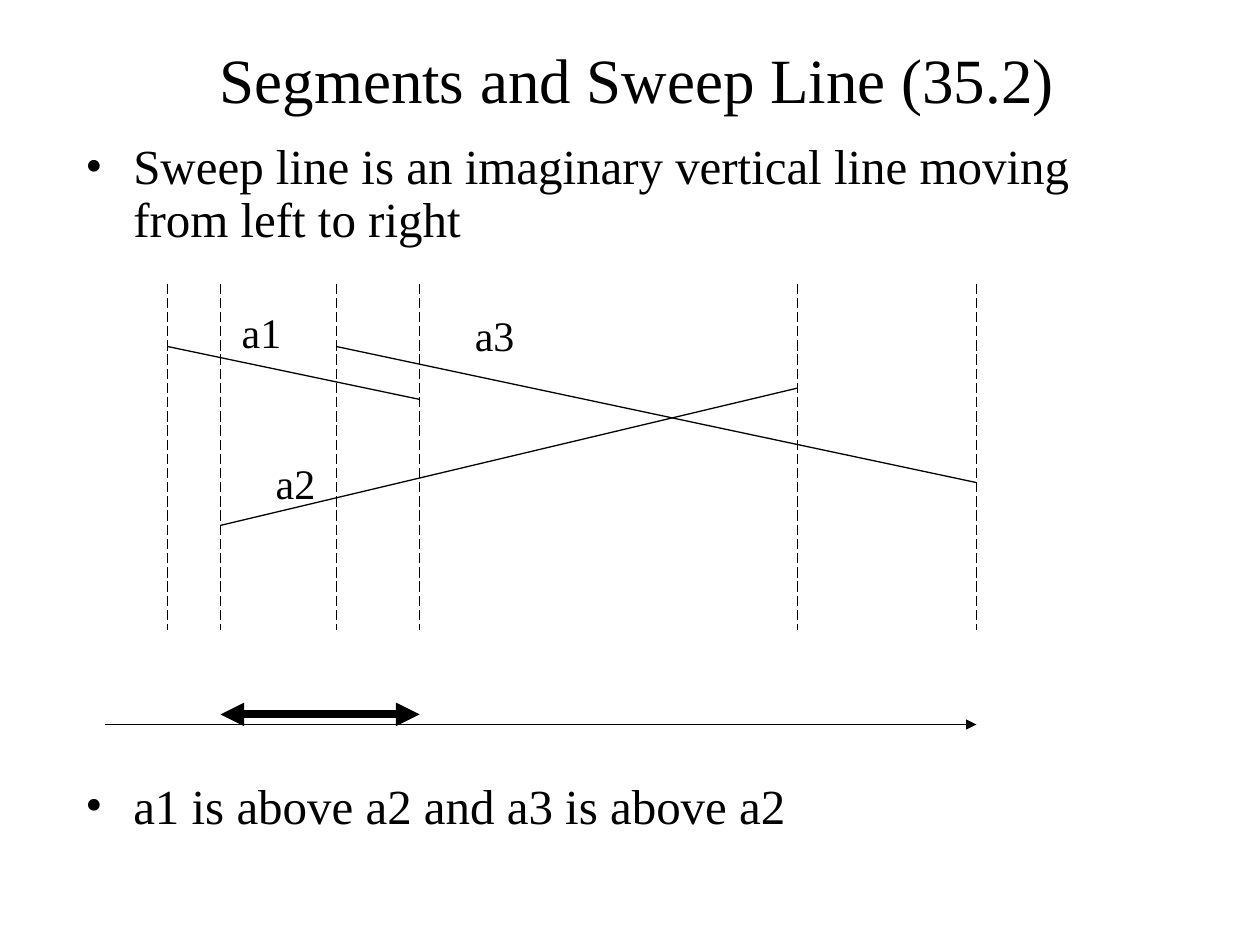
from pptx import Presentation
from pptx.dml.color import RGBColor
from pptx.enum.dml import MSO_LINE
from pptx.enum.shapes import MSO_CONNECTOR
from pptx.enum.text import MSO_ANCHOR, PP_ALIGN
from pptx.oxml.ns import qn
from pptx.util import Inches, Pt
from lxml import etree

BLACK = "000000"
FONT = "Times New Roman"

presentation = Presentation()
presentation.slide_width = Inches(10)
presentation.slide_height = Inches(7.5)
slide = presentation.slides.add_slide(presentation.slide_layouts[6])


def add_text(paragraphs, left, top, width, height, size, align=PP_ALIGN.LEFT,
             anchor=MSO_ANCHOR.TOP, wrap=True, bullets=False, gap=0, inset=0.1):
    """Gap is the space in points before each paragraph but the first."""
    box = slide.shapes.add_textbox(Inches(left), Inches(top), Inches(width), Inches(height))
    frame = box.text_frame
    frame.word_wrap = wrap
    frame.vertical_anchor = anchor
    frame.margin_left = Inches(inset)
    for index, text in enumerate(paragraphs):
        paragraph = frame.add_paragraph() if index else frame.paragraphs[0]
        paragraph.text = text
        paragraph.alignment = align
        if index:
            paragraph.space_before = Pt(gap)
        if bullets:
            paragraph.line_spacing = 0.9
            properties = paragraph._p.get_or_add_pPr()
            properties.set("marL", str(Inches(0.38)))
            properties.set("indent", str(Inches(-0.38)))
            etree.SubElement(properties, qn("a:buFont")).set("typeface", FONT)
            etree.SubElement(properties, qn("a:buChar")).set("char", "•")
        paragraph.font.size = Pt(size)
        paragraph.font.name = FONT
        paragraph.font.color.rgb = RGBColor.from_string(BLACK)


def add_line(x1, y1, x2, y2, width=0.75, dash=None, arrows=()):
    """Arrows lists the ends that get a triangle: headEnd (start), tailEnd (end)."""
    line = slide.shapes.add_connector(
        MSO_CONNECTOR.STRAIGHT, Inches(x1), Inches(y1), Inches(x2), Inches(y2))
    line.line.color.rgb = RGBColor.from_string(BLACK)
    line.line.width = Pt(width)
    if dash:
        line.line.dash_style = dash
    outline = line.line._get_or_add_ln()
    for end in arrows:
        etree.SubElement(outline, qn(f"a:{end}")).set("type", "triangle")
    etree.SubElement(line._element.spPr, qn("a:effectLst"))


# The title sits slightly right of the box centre
add_text(["Segments and Sweep Line (35.2)"], 0.58, 0.33, 8.83, 0.58, size=36,
         align=PP_ALIGN.CENTER, anchor=MSO_ANCHOR.MIDDLE, inset=0.22)

# The gap between the bullets leaves room for the diagram
add_text(["Sweep line is an imaginary vertical line moving from left to right",
          "a1 is above a2 and a3 is above a2"],
         0.58, 1.08, 8.83, 5.92, size=28, bullets=True, gap=305)

# Segments: name, label position, start, end
segments = [
    ("a1", (1.82, 2.38), (1.33, 2.75), (3.33, 3.17)),
    ("a3", (3.67, 2.41), (2.67, 2.75), (7.75, 3.83)),
    ("a2", (2.09, 3.58), (1.75, 4.17), (6.33, 3.08)),
]
for name, label_position, start, end in segments:
    add_line(*start, *end)
    add_text([name], *label_position, 0.54, 0.5, size=24, wrap=False)

# The sweep line stops at every segment endpoint
for sweep_x in sorted(point[0] for segment in segments for point in segment[2:]):
    add_line(sweep_x, 2.25, sweep_x, 5, dash=MSO_LINE.LONG_DASH)

# Sweep direction, and the interval where a1 and a2 are both crossed
add_line(0.83, 5.75, 7.75, 5.75, arrows=["tailEnd"])
add_line(1.75, 5.67, 3.33, 5.67, width=4.5, arrows=["headEnd", "tailEnd"])

presentation.save("out.pptx")
